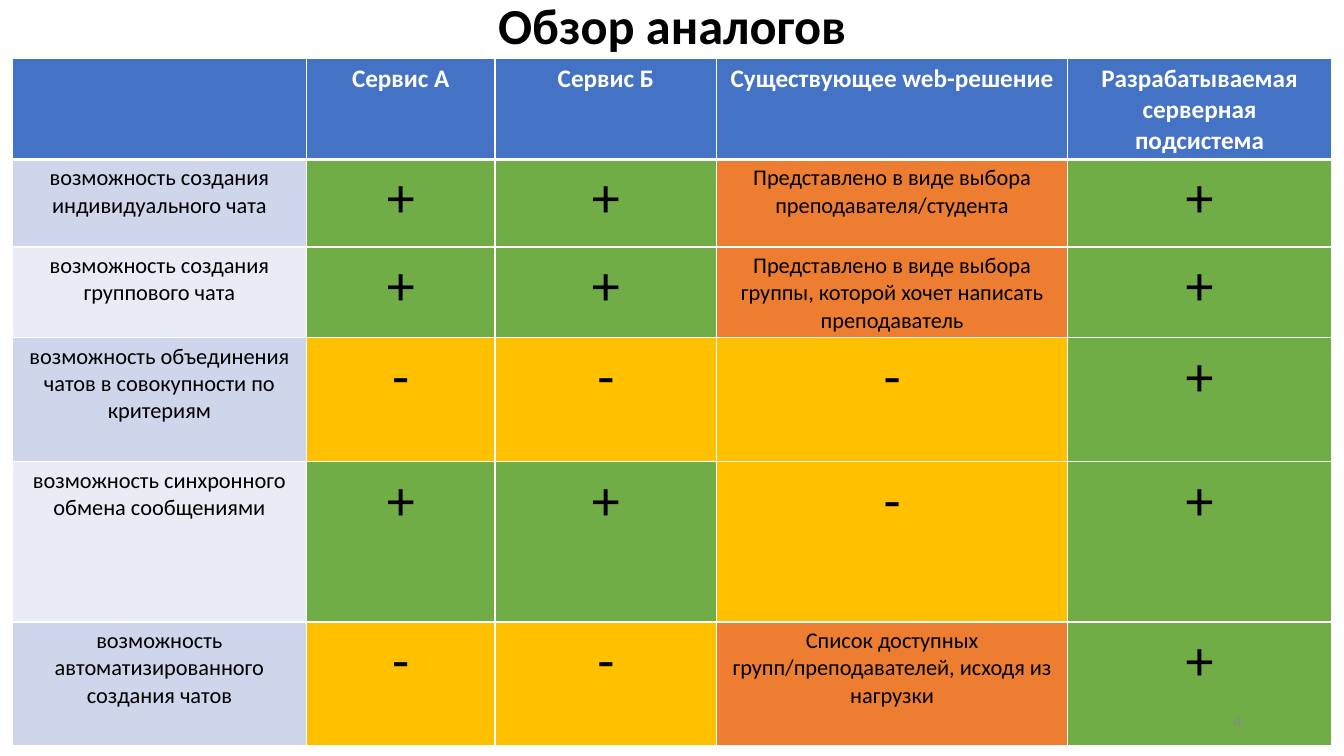
from lxml import etree
from pptx import Presentation
from pptx.dml.color import RGBColor
from pptx.enum.text import MSO_ANCHOR, PP_ALIGN
from pptx.oxml.ns import qn
from pptx.util import Pt

CENTER = PP_ALIGN.CENTER
RIGHT = PP_ALIGN.RIGHT
MIDDLE = MSO_ANCHOR.MIDDLE

COLORS = {
    "black": "000000",
    "white": "FFFFFF",
    "gray": "898989",
    "header": "4472C4",
    "odd": "CFD5EA",
    "even": "E9EBF5",
    "yes": "70AD47",
    "no": "FFC000",
    "partial": "ED7D31",
}
MARK_COLORS = {"+": "yes", "-": "no"}

COLUMN_WIDTHS = [210.2, 134.6, 158.4, 250.6, 188.6]
ROW_HEIGHTS = [62.6, 62.6, 62.6, 88.6, 114.5, 88.6]
HEADERS = [
    "",
    "Сервис А",
    "Сервис Б",
    "Существующее web-решение",
    "Разрабатываемая серверная подсистема",
]
FEATURES = [
    ["возможность создания индивидуального чата", "+", "+",
     "Представлено в виде выбора преподавателя/студента", "+"],
    ["возможность создания группового чата", "+", "+",
     "Представлено в виде выбора группы, которой хочет написать преподаватель", "+"],
    ["возможность объединения чатов в совокупности по критериям", "-", "-", "-", "+"],
    ["возможность синхронного обмена сообщениями", "+", "+", "-", "+"],
    ["возможность автоматизированного создания чатов", "-", "-",
     "Список доступных групп/преподавателей, исходя из нагрузки", "+"],
]


def write_text(frame, text, size, color="black", bold=False, align=CENTER, spacing=None):
    frame.word_wrap = True
    paragraph = frame.paragraphs[0]
    paragraph.alignment = align
    paragraph.line_spacing = spacing
    paragraph.font.size = Pt(size)
    if not text:
        return
    run = paragraph.add_run()
    run.text = text
    run.font.name = "Calibri"
    run.font.size = Pt(size)
    run.font.bold = bold
    run.font.color.rgb = RGBColor.from_string(COLORS[color])


def add_text_box(slide, left, top, width, height, text, size, **text_format):
    box = slide.shapes.add_textbox(Pt(left), Pt(top), Pt(width), Pt(height))
    box.text_frame.vertical_anchor = MIDDLE
    write_text(box.text_frame, text, size, **text_format)


def set_borders(cell, top=1, bottom=1):
    properties = cell._tc.get_or_add_tcPr()
    for side, width in (("L", 1), ("R", 1), ("T", top), ("B", bottom)):
        line = etree.SubElement(properties, qn(f"a:ln{side}"), w=str(Pt(width)))
        fill = etree.SubElement(line, qn("a:solidFill"))
        etree.SubElement(fill, qn("a:srgbClr"), val=COLORS["white"])


def fill_cell(cell, text, size, fill, top=1, bottom=1, **text_format):
    set_borders(cell, top, bottom)
    cell.fill.solid()
    cell.fill.fore_color.rgb = RGBColor.from_string(COLORS[fill])
    write_text(cell.text_frame, text, size, **text_format)


def add_comparison(slide, left, top):
    table = slide.shapes.add_table(
        len(ROW_HEIGHTS), len(COLUMN_WIDTHS), Pt(left), Pt(top),
        Pt(sum(COLUMN_WIDTHS)), Pt(sum(ROW_HEIGHTS)),
    ).table
    for column, width in zip(table.columns, COLUMN_WIDTHS):
        column.width = Pt(width)
    for row, height in zip(table.rows, ROW_HEIGHTS):
        row.height = Pt(height)
    for column, header in enumerate(HEADERS):
        fill_cell(table.cell(0, column), header, 18, "header",
                  bottom=3, color="white", bold=True)
    for row, feature in enumerate(FEATURES, 1):
        label_fill = "odd" if row % 2 else "even"
        for column, text in enumerate(feature):
            fill = MARK_COLORS.get(text, "partial") if column else label_fill
            size = 40 if text in MARK_COLORS else 16
            fill_cell(table.cell(row, column), text, size, fill,
                      top=3 if row == 1 else 1)


def main():
    presentation = Presentation()
    presentation.slide_width = Pt(960)
    presentation.slide_height = Pt(540)
    slide = presentation.slides.add_slide(presentation.slide_layouts[6])
    add_text_box(slide, 46, -7.2, 868.4, 55.4, "Обзор аналогов", 36,
                 bold=True, spacing=0.9)
    add_comparison(slide, 8.8, 41.8)
    add_text_box(slide, 678, 500.5, 216, 28.75, "4", 12, color="gray", align=RIGHT)
    presentation.save("out.pptx")


if __name__ == "__main__":
    main()
